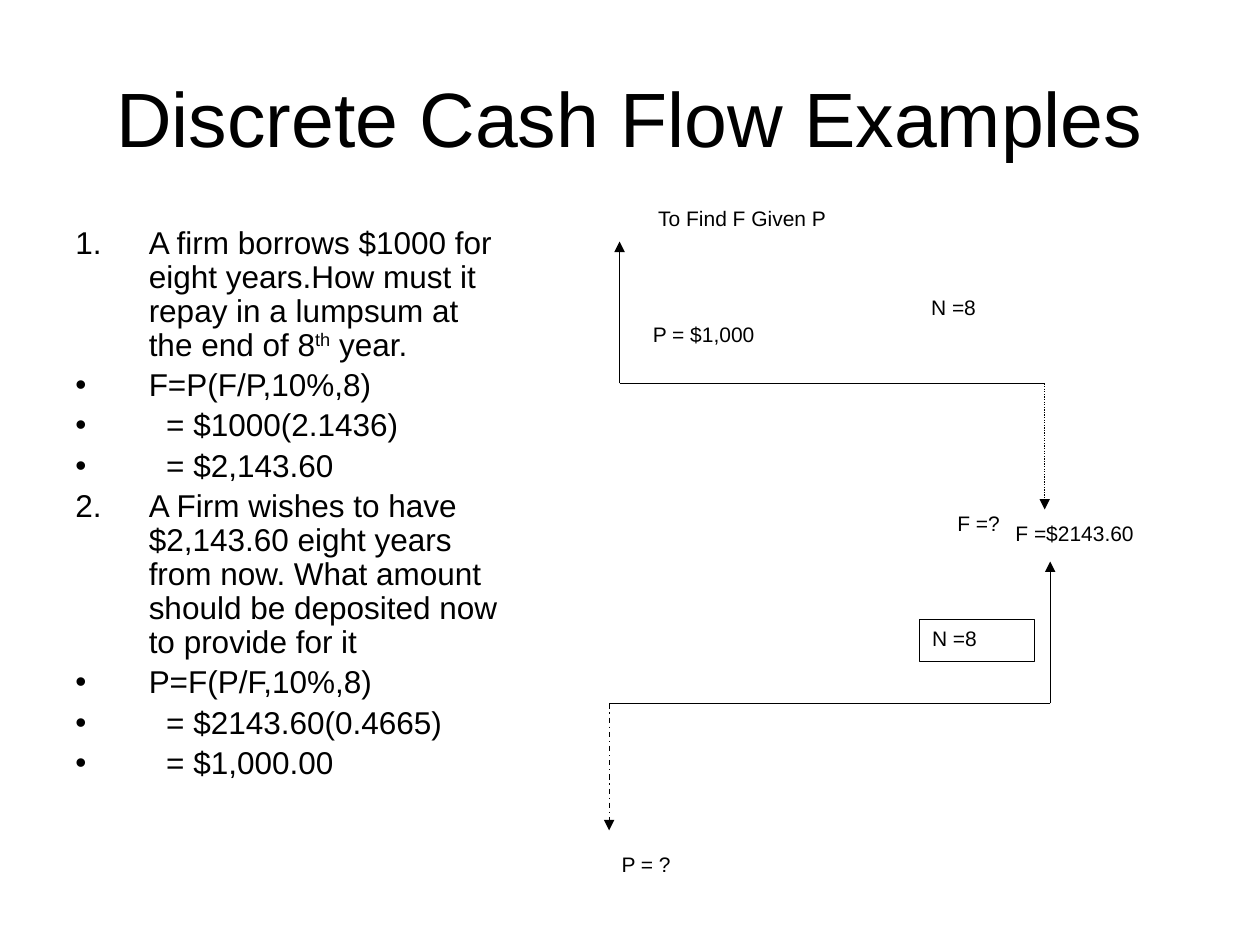
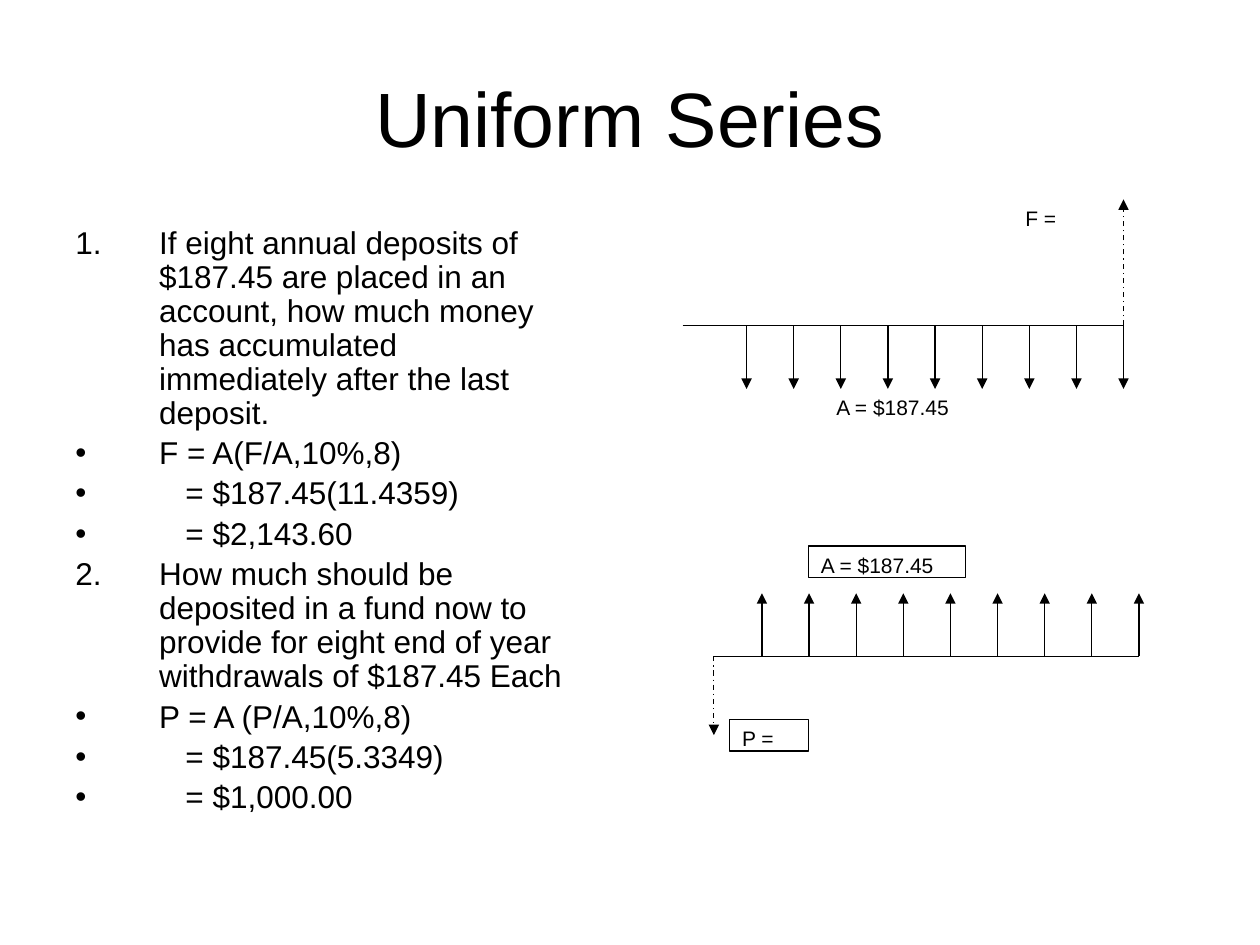
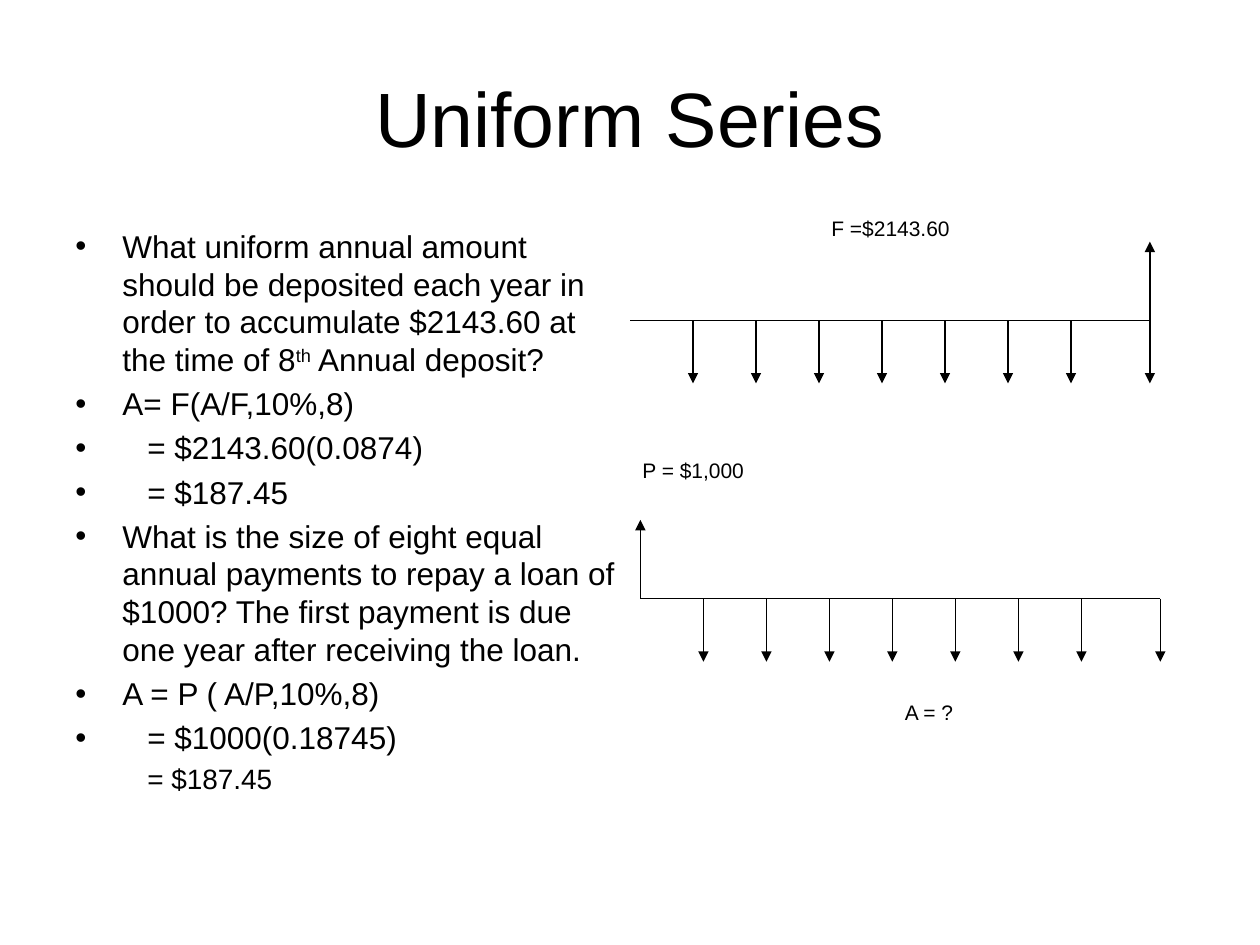
import pptx
import pptx.dml.color
import pptx.enum.dml
import pptx.enum.shapes
import pptx.enum.text
import pptx.oxml
import pptx.oxml.ns
import pptx.util

Cm = pptx.util.Cm
Pt = pptx.util.Pt
DASH = pptx.enum.dml.MSO_LINE
ALIGN = pptx.enum.text.PP_ALIGN
ANCHOR = pptx.enum.text.MSO_ANCHOR

# Shared style
FONT = "Arial"
INK = "000000"
PAPER = "FFFFFF"
RULE = 0.75
BODY = 18
BULLET = "•"


def color(code):
    return pptx.dml.color.RGBColor.from_string(code)


def add_xml(parent, tag, **attrs):
    """Append an empty DrawingML element."""
    node = pptx.oxml.parse_xml(f"<a:{tag} {pptx.oxml.ns.nsdecls('a')}/>")
    for key, value in attrs.items():
        node.set(key, str(value))
    parent.append(node)


def write(para, words, size=12, align=ALIGN.LEFT):
    """Fill a paragraph; words between carets are superscript."""
    para.alignment = align
    for i, part in enumerate(words.split("^")):
        run = para.add_run()
        run.text = part
        run.font.name = FONT
        run.font.size = Pt(size)
        run.font.color.rgb = color(INK)
        if i % 2:
            run.font._element.set("baseline", "30000")


def text_box(slide, left, top, width, height):
    frame = slide.shapes.add_textbox(Cm(left), Cm(top), Cm(width), Cm(height)).text_frame
    frame.word_wrap = True
    return frame


def start(deck, title):
    """Add a slide with its title."""
    slide = deck.slides.add_slide(deck.slide_layouts[6])
    frame = text_box(slide, 1.27, 0.76, 22.86, 3.18)
    frame.vertical_anchor = ANCHOR.MIDDLE
    write(frame.paragraphs[0], title, size=44, align=ALIGN.CENTER)
    return slide


def body(slide, width, hang, items, shift=0.0, lead=1.0):
    """List of (mark, words): a number, a bullet, "=" for a shifted bullet, "" for a small line."""
    frame = text_box(slide, 1.27, 4.45, width, 12.57)
    for i, (mark, words) in enumerate(items):
        para = frame.add_paragraph() if i else frame.paragraphs[0]
        size = BODY if mark else 16
        write(para, words, size=size)
        para.line_spacing = lead
        para.space_before = Pt(size * 0.2)
        left = hang + (0 if mark in (BULLET, 1, 2) else shift)
        props = para._p.get_or_add_pPr()
        props.set("marL", str(Cm(left)))
        props.set("indent", str(-Cm(left) if mark else 0))
        if not mark:
            add_xml(props, "buNone")
        elif isinstance(mark, int):
            add_xml(props, "buAutoNum", type="arabicPeriod", startAt=mark)
        else:
            add_xml(props, "buFont", typeface=FONT)
            add_xml(props, "buChar", char=BULLET)


def label(slide, words, left, top, width, height, frame=False):
    shape = slide.shapes.add_shape(
        pptx.enum.shapes.MSO_SHAPE.RECTANGLE, Cm(left), Cm(top), Cm(width), Cm(height))
    shape.shadow.inherit = False
    shape.fill.solid()
    shape.fill.fore_color.rgb = color(PAPER)
    if frame:
        shape.line.color.rgb = color(INK)
        shape.line.width = Pt(RULE)
    else:
        shape.line.fill.background()
    shape.text_frame.word_wrap = True
    shape.text_frame.vertical_anchor = ANCHOR.TOP
    write(shape.text_frame.paragraphs[0], words)


def line(slide, x1, y1, x2, y2, dash=None, head=False):
    link = slide.shapes.add_connector(
        pptx.enum.shapes.MSO_CONNECTOR.STRAIGHT, Cm(x1), Cm(y1), Cm(x2), Cm(y2))
    link.line.color.rgb = color(INK)
    link.line.width = Pt(RULE)
    if dash:
        link.line.dash_style = dash
    if head:
        add_xml(link.line._get_or_add_ln(), "tailEnd", type="triangle")
    add_xml(link._element.spPr, "effectLst")


def axis(slide, left, right, y):
    line(slide, left, y, right, y)


def flow(slide, x, y, tip, dash=None):
    """Cash flow arrow from the axis to its tip."""
    line(slide, x, y, x, tip, dash=dash, head=True)


def series(slide, first, step, count, y, tip):
    for i in range(count):
        flow(slide, first + i * step, y, tip)


def single(deck):
    slide = start(deck, "Discrete Cash Flow Examples")
    body(slide, 9.09, 1.48, [
        (1, "A firm borrows $1000 for eight years.How must it repay in a lumpsum "
            "at the end of 8^th^ year."),
        (BULLET, "F=P(F/P,10%,8)"),
        ("=", "= $1000(2.1436)"),
        ("=", "= $2,143.60"),
        (2, "A Firm wishes to have $2,143.60 eight years from now. What amount "
            "should be deposited now to provide for it"),
        (BULLET, "P=F(P/F,10%,8)"),
        ("=", "= $2143.60(0.4665)"),
        ("=", "= $1,000.00"),
    ], shift=0.35, lead=0.9)

    # Find F given P
    label(slide, "P = $1,000", 12.91, 6.35, 3.81, 0.95)
    label(slide, "N =8", 18.52, 5.82, 2.22, 0.95)
    label(slide, "F =?", 19.05, 10.16, 1.59, 0.95)
    label(slide, " To Find F Given P", 12.91, 4.02, 7.83, 0.95)
    # Find P given F
    label(slide, "P = ?", 12.28, 17.04, 3.96, 0.85)
    label(slide, "N =8", 18.54, 12.49, 2.31, 0.85, frame=True)
    label(slide, "F =$2143.60", 20.22, 10.37, 3.5, 0.64)

    axis(slide, 12.49, 21.06, 7.73)
    flow(slide, 12.49, 7.73, 4.87)
    flow(slide, 21.06, 7.73, 10.27, dash=DASH.ROUND_DOT)
    axis(slide, 12.28, 21.17, 14.18)
    flow(slide, 12.28, 14.18, 16.74, dash=DASH.DASH_DOT)
    flow(slide, 21.17, 14.18, 11.32)


def worth(deck):
    slide = start(deck, "Uniform Series")
    body(slide, 10.36, 1.69, [
        (1, "If eight annual deposits of $187.45 are placed in an account, how much "
            "money has accumulated immediately after the last deposit."),
        (BULLET, "F = A(F/A,10%,8)"),
        ("=", "= $187.45(11.4359)"),
        ("=", "= $2,143.60"),
        (2, "How much should be deposited in a fund now to provide for eight end of "
            "year withdrawals of $187.45 Each"),
        (BULLET, "P = A (P/A,10%,8)"),
        ("=", "= $187.45(5.3349)"),
        ("=", "= $1,000.00"),
    ], shift=0.53, lead=0.9)
    step = 0.95

    # Deposits
    label(slide, "A = $187.45", 16.61, 7.83, 3.96, 0.85)
    label(slide, "F =", 20.42, 4.02, 1.59, 0.64)
    axis(slide, 13.76, 22.65, 6.56)
    series(slide, 15.05, step, 9, 6.56, 7.84)
    flow(slide, 22.65, 6.56, 4.02, dash=DASH.DASH_DOT)
    # Withdrawals
    label(slide, "P =", 14.71, 14.5, 1.59, 0.64, frame=True)
    label(slide, "A = $187.45", 16.3, 11.01, 3.17, 0.64, frame=True)
    axis(slide, 14.39, 22.96, 13.23)
    series(slide, 15.36, step, 9, 13.23, 11.96)
    flow(slide, 14.39, 13.23, 14.82, dash=DASH.DASH_DOT)


def amount(deck):
    slide = start(deck, "Uniform Series")
    body(slide, 11.43, 0.95, [
        (BULLET, "What uniform annual amount should be deposited each year in order to "
                 "accumulate $2143.60 at the time of 8^th^ Annual deposit?"),
        (BULLET, "A= F(A/F,10%,8)"),
        ("=", "= $2143.60(0.0874)"),
        ("=", "= $187.45"),
        (BULLET, "What is the size of eight equal annual payments to repay a loan of "
                 "$1000? The first payment is due one year after receiving the loan."),
        (BULLET, "A = P ( A/P,10%,8)"),
        ("=", "= $1000(0.18745)"),
        ("", "= $187.45"),
    ], shift=0.5)
    step = 1.27

    # Deposits
    label(slide, "F =$2143.60", 16.51, 4.23, 3.81, 1.27)
    axis(slide, 12.7, 23.18, 6.46)
    series(slide, 13.97, step, 7, 6.46, 7.73)
    flow(slide, 23.18, 6.46, 7.73)
    flow(slide, 23.18, 6.46, 4.87)
    # Loan payments
    label(slide, "A = ?", 17.99, 13.97, 1.9, 0.95)
    label(slide, "P = $1,000", 12.7, 9.1, 3.81, 1.27)
    axis(slide, 12.91, 23.39, 12.07)
    series(slide, 14.18, step, 7, 12.07, 13.34)
    flow(slide, 23.39, 12.07, 13.34)
    flow(slide, 12.91, 12.07, 10.48)


def main():
    deck = pptx.Presentation()
    deck.slide_width = Cm(25.4)
    deck.slide_height = Cm(19.05)
    single(deck)
    worth(deck)
    amount(deck)
    deck.save("out.pptx")


if __name__ == "__main__":
    main()
